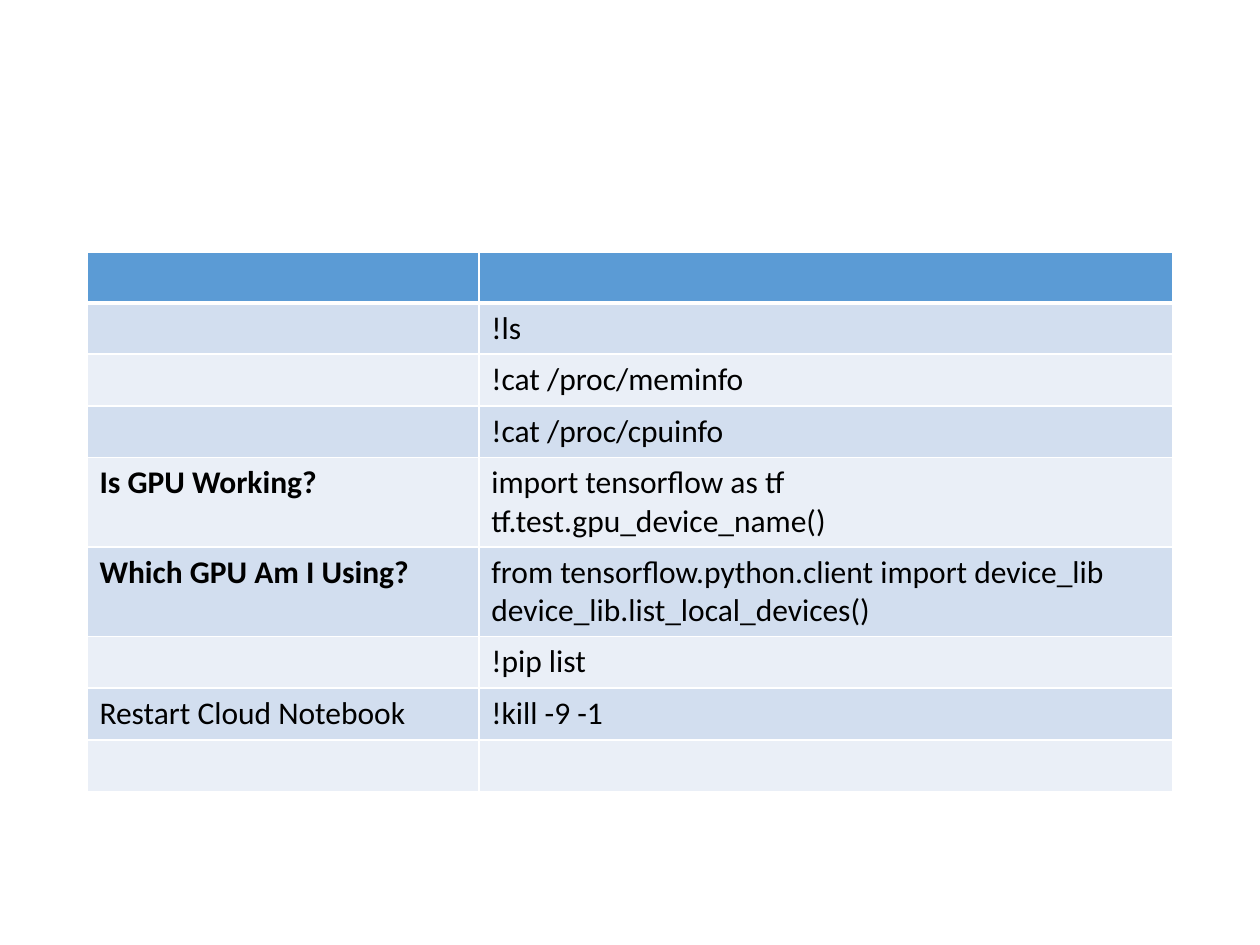
from lxml import etree
from pptx import Presentation
from pptx.dml.color import RGBColor
from pptx.oxml.ns import qn
from pptx.util import Inches, Pt

HEADER, BANDS = "5B9BD5", ("D2DEEF", "EAEFF7")
WHITE, BLACK = "FFFFFF", "000000"
FONT, SIZE = "Calibri", 18
LEFT, TOP = 0.69, 2
COLUMNS = (3.11, 5.51)
ROWS = [
    (0.4, "", []),
    (0.4, "", ["!ls"]),
    (0.41, "", ["!cat /proc/meminfo"]),
    (0.41, "", ["!cat /proc/cpuinfo"]),
    (0.7, "Is GPU Working?", ["import tensorflow as tf", "tf.test.gpu_device_name()"]),
    (0.7, "Which GPU Am I Using?",
     ["from tensorflow.python.client import device_lib", "device_lib.list_local_devices()"]),
    (0.41, "", ["!pip list"]),
    (0.41, "Restart Cloud Notebook", ["!kill -9 -1"]),
    (0.41, "", []),
]


def color(value):
    return RGBColor.from_string(value)


def add_borders(cell, widths):
    properties = cell._tc.get_or_add_tcPr()
    for position, (side, width) in enumerate(widths.items()):
        line = etree.Element(qn(f"a:ln{side}"), w=str(Pt(width)))
        fill = etree.SubElement(line, qn("a:solidFill"))
        etree.SubElement(fill, qn("a:srgbClr"), val=WHITE)
        properties.insert(position, line)


def write_lines(cell, lines, bold):
    frame = cell.text_frame
    for number, line in enumerate(lines):
        para = frame.add_paragraph() if number else frame.paragraphs[0]
        span = para.add_run()
        span.text = line
        span.font.name = FONT
        span.font.size = Pt(SIZE)
        span.font.bold = bold
        span.font.color.rgb = color(BLACK)


def main():
    """Build the slide with the table of notebook commands."""
    deck = Presentation()
    deck.slide_width, deck.slide_height = Inches(10), Inches(7.5)
    page = deck.slides.add_slide(deck.slide_layouts[6])
    height = sum(row[0] for row in ROWS)
    table = page.shapes.add_table(
        len(ROWS), len(COLUMNS), Inches(LEFT), Inches(TOP),
        Inches(sum(COLUMNS)), Inches(height)).table
    for column, width in zip(table.columns, COLUMNS):
        column.width = Inches(width)

    for index, (row_height, task, commands) in enumerate(ROWS):
        table.rows[index].height = Inches(row_height)
        fill = BANDS[(index - 1) % 2] if index else HEADER
        widths = {"L": 1, "R": 1, "T": 3 if index == 1 else 1, "B": 1 if index else 3}
        for column, lines in enumerate(([task] if task else [], commands)):
            cell = table.cell(index, column)
            cell.fill.solid()
            cell.fill.fore_color.rgb = color(fill)
            add_borders(cell, widths)
            write_lines(cell, lines, column == 0 and task.endswith("?"))

    deck.save("out.pptx")


if __name__ == "__main__":
    main()
